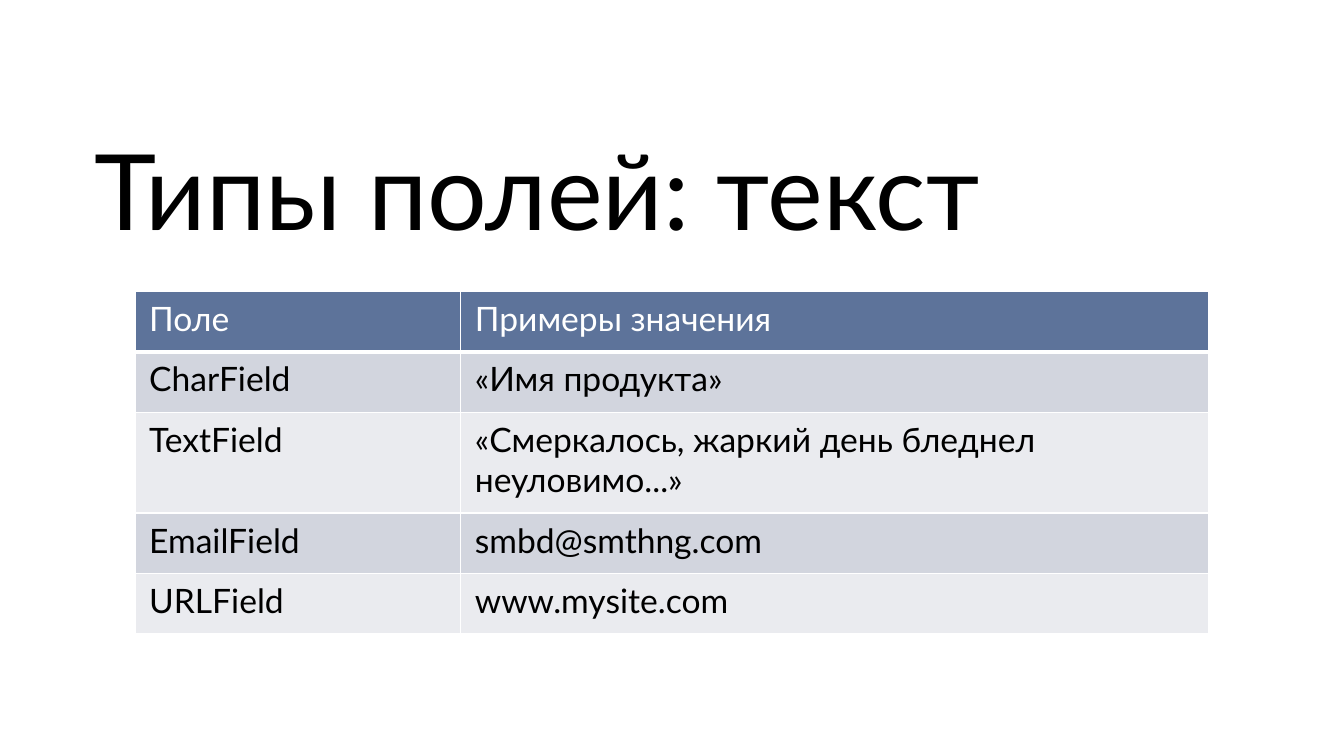
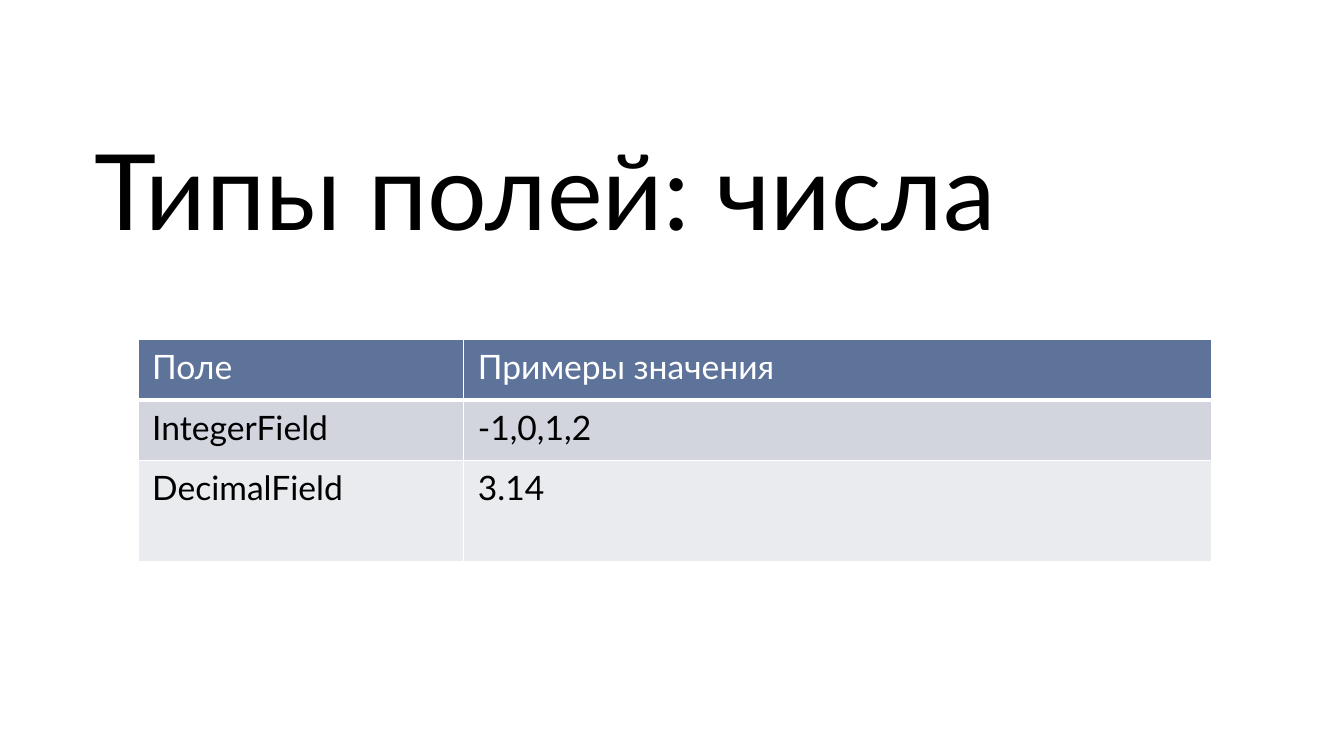
from pptx import Presentation, util as u
from pptx.dml.color import RGBColor
from pptx.enum import text
from pptx.oxml.ns import qn
from lxml import etree

FONT = "Lato"
INK, WHITE, HEAD = "000000", "FFFFFF", "5D739A"
BANDS = ("D2D5DE", "EAEBEF")
COLS = (3.23, 7.42)
ROW, TALL = 0.6, 1
TITLE = (0.94, 1.22, 11.5, 1.45)
HEADER = ("Поле", "Примеры значения")


def paint(part, hue):
    """Give a font or a fill a solid colour."""
    if hasattr(part, "solid"):
        part.solid()
        part.fore_color.rgb = RGBColor.from_string(hue)
    else:
        part.color.rgb = RGBColor.from_string(hue)


def style(frame, size, hue):
    for run in frame.paragraphs[0].runs:
        run.font.size, run.font.name = u.Pt(size), FONT
        paint(run.font, hue)


def edge(cell, side, width):
    props = cell._tc.get_or_add_tcPr()
    line = etree.SubElement(props, qn("a:" + side), w=str(u.Pt(width)))
    fill = etree.SubElement(line, qn("a:solidFill"))
    etree.SubElement(fill, qn("a:srgbClr"), val=WHITE)


def add_title(slide, words, box):
    title = slide.shapes.title
    title.left, title.top, title.width, title.height = map(u.Inches, box)
    frame = title.text_frame
    frame.text = words
    frame.margin_left = frame.margin_right = 0
    frame.margin_top = frame.margin_bottom = 0
    frame.word_wrap = True
    frame.auto_size = text.MSO_AUTO_SIZE.NONE
    frame.vertical_anchor = text.MSO_ANCHOR.MIDDLE
    para = frame.paragraphs[0]
    para.alignment, para.line_spacing = text.PP_ALIGN.LEFT, 0.9
    style(frame, 75.2, INK)


def fill_cell(cell, words, row):
    cell.margin_left = cell.margin_right = u.Inches(0.14)
    cell.margin_top = cell.margin_bottom = u.Inches(0.07)
    # Borders precede the fill in the cell's properties
    for side in ("lnL", "lnR", "lnT", "lnB"):
        edge(cell, side, 3 if row == 0 and side == "lnB" else 1)
    paint(cell.fill, BANDS[(row - 1) % 2] if row else HEAD)
    cell.text_frame.text = words
    style(cell.text_frame, 24, INK if row else WHITE)


def add_grid(slide, fields, tall, left, top):
    """Place the table of fields; the row numbered tall is the high one."""
    rows = [HEADER, *fields]
    highs = [TALL if r == tall else ROW for r in range(len(rows))]
    box = map(u.Inches, (left, top, sum(COLS), sum(highs)))
    table = slide.shapes.add_table(len(rows), len(COLS), *box).table
    for col, width in zip(table.columns, COLS):
        col.width = u.Inches(width)
    for r, (pair, high) in enumerate(zip(rows, highs)):
        table.rows[r].height = u.Inches(high)
        for c, words in enumerate(pair):
            fill_cell(table.cell(r, c), words, r)


def add_page(deck, words, fields, tall, left, top):
    slide = deck.slides.add_slide(deck.slide_layouts[5])
    paint(slide.background.fill, WHITE)
    add_title(slide, words, TITLE)
    add_grid(slide, fields, tall, left, top)


deck = Presentation()
deck.slide_width, deck.slide_height = u.Inches(13.33), u.Inches(7.5)

# Text fields
add_page(deck, "Типы полей: текст", [
    ("CharField", "«Имя продукта»"),
    ("TextField", "«Смеркалось, жаркий день бледнел неуловимо...»"),
    ("EmailField", "smbd@smthng.com"),
    ("URLField", "www.mysite.com"),
], tall=2, left=1.34, top=2.89)

# Number fields
add_page(deck, "Типы полей: числа", [
    ("IntegerField", "-1,0,1,2"),
    ("DecimalField", "3.14"),
], tall=2, left=1.37, top=3.37)

deck.save("out.pptx")
